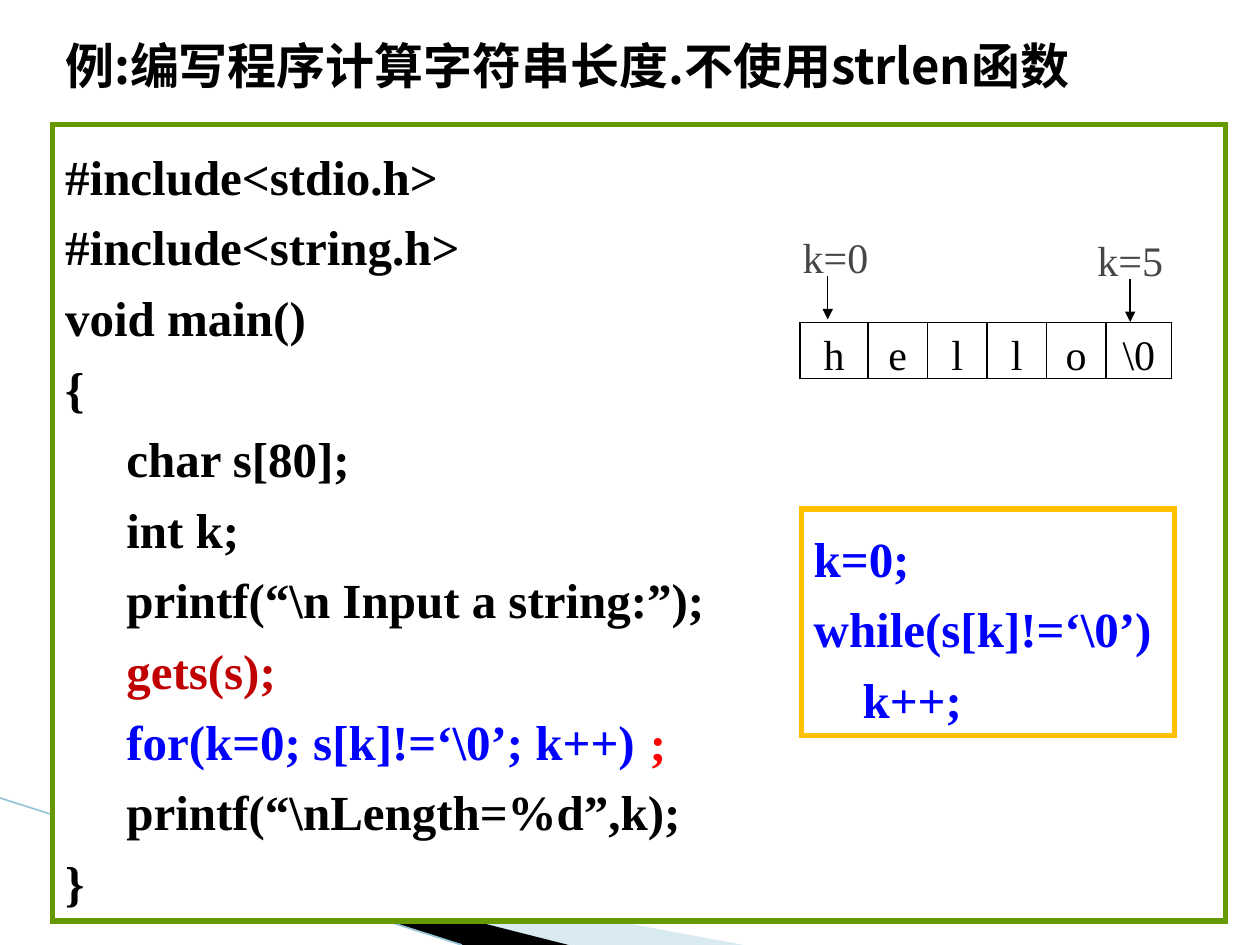
from itertools import pairwise
from lxml import etree
from pptx import Presentation
from pptx import util as u
from pptx.dml.color import RGBColor
from pptx.enum import shapes, text
from pptx.oxml.ns import qn

THEME = {
    "cjk": "Noto Sans CJK SC", "serif": "Times New Roman",
    "large": 28, "small": 24, "spacing": 1.2,
    "black": "000000", "white": "FFFFFF", "gray": "464646", "blue": "0000FF",
    "red": "FF0000", "crimson": "C00000", "green": "669900", "gold": "FFC000",
    "pale": "A0CBDC", "sky": "97C5D8",
}

TITLE = [[("例:编写程序计算字符串长度.不使用strlen函数", "black")]]
PROGRAM = [
    [("#include<stdio.h>", "black")],
    [("#include<string.h>", "black")],
    [("void main()", "black")],
    [("{", "black")],
    [("     char s[80];", "black")],
    [("     int k;", "black")],
    [("     printf(“\\n Input a string:”);", "black")],
    [("     gets(s);", "crimson")],
    [("     for(k=0; s[k]!=‘\\0’; k++)", "blue")],
    [("     printf(“\\nLength=%d”,k);", "black")],
    [("}", "black")],
]
SEMICOLON = [[(";", "red")]]
WHILE_LOOP = [
    [("k=0;", "blue")],
    [("while(s[k]!=‘\\0’)", "blue")],
    [("    k++;", "blue")],
]
CHARACTERS = ["h", "e", "l", "l", "o", "\\0"]
CELL_EDGES = [457.2, 496, 530, 564, 598, 632, 669.6]
ARRAY_TOP, ARRAY_HEIGHT = 184.3, 32
MARKERS = [("k=0", 458, 132.5, 473), ("k=5", 626.4, 134, 645.8)]
WEDGES = [
    ([(39.6, 468.5), (425, 540), (325, 540)], "pale", 40),
    ([(38.2, 467.3), (325, 540), (264, 540)], "black", 100),
]


def color(name):
    return RGBColor.from_string(THEME[name])


def write(shape, paragraphs, size="large", font="serif", spacing=None, align="LEFT",
          anchor="MIDDLE", insets=(7.2, 3.6, 7.2, 3.6), wrap=True):
    frame = shape.text_frame
    frame.word_wrap = wrap
    frame.vertical_anchor = text.MSO_ANCHOR[anchor]
    frame.margin_left, frame.margin_top, frame.margin_right, frame.margin_bottom = map(u.Pt, insets)
    for index, runs in enumerate(paragraphs):
        paragraph = frame.paragraphs[0] if index == 0 else frame.add_paragraph()
        paragraph.alignment = text.PP_ALIGN[align]
        if spacing:
            paragraph.line_spacing = spacing
        for words, name in runs:
            run = paragraph.add_run()
            run.text = words
            run.font.size = u.Pt(THEME[size])
            run.font.name = THEME[font]
            run.font.bold = size == "large"
            run.font.color.rgb = color(name)
            east_asian = etree.SubElement(run.font._element, qn("a:ea"))
            east_asian.set("typeface", THEME[font])


def add_text(slide, box, paragraphs, **style):
    shape = slide.shapes.add_textbox(*map(u.Pt, box))
    write(shape, paragraphs, **style)


def add_box(slide, box, fill=None, line=None, width=3):
    shape = slide.shapes.add_shape(shapes.MSO_SHAPE.RECTANGLE, *map(u.Pt, box))
    shape.shadow.inherit = False
    if fill:
        shape.fill.solid()
        shape.fill.fore_color.rgb = color(fill)
    else:
        shape.fill.background()
    if line:
        shape.line.color.rgb = color(line)
        shape.line.width = u.Pt(width)
        etree.SubElement(shape.line._get_or_add_ln(), qn("a:miter")).set("lim", "800000")
    else:
        shape.line.fill.background()
    return shape


def add_line(slide, start, end, name="black", width=0.75, arrow=False):
    line = slide.shapes.add_connector(
        shapes.MSO_CONNECTOR.STRAIGHT, *map(u.Pt, start + end))
    line.line.color.rgb = color(name)
    line.line.width = u.Pt(width)
    if arrow:
        etree.SubElement(line.line._get_or_add_ln(), qn("a:tailEnd")).set("type", "triangle")
    etree.SubElement(line._element.spPr, qn("a:effectLst"))


def add_wedge(slide, points, name, opacity):
    corners = [tuple(map(u.Pt, point)) for point in points]
    builder = slide.shapes.build_freeform(*corners[0])
    builder.add_line_segments(corners[1:], close=True)
    shape = builder.convert_to_shape()
    shape.shadow.inherit = False
    shape.fill.solid()
    shape.fill.fore_color.rgb = color(name)
    shape.line.fill.background()
    if opacity < 100:
        fill_color = shape._element.spPr.find(".//" + qn("a:srgbClr"))
        etree.SubElement(fill_color, qn("a:alpha")).set("val", str(opacity * 1000))


def add_array(slide):
    for label, left, top, center in MARKERS:
        shape = add_box(slide, (left, top, 39, 28.8), fill="white")
        write(shape, [[(label, "gray")]], size="small", align="CENTER",
              anchor="TOP", insets=(0, 0, 0, 0), wrap=False)
        add_line(slide, (center, top + 25.2), (center, top + 50), arrow=True)
    left, right = CELL_EDGES[0], CELL_EDGES[-1]
    add_box(slide, (left, ARRAY_TOP, right - left, ARRAY_HEIGHT), line="black", width=0.75)
    for edge in CELL_EDGES[1:-1]:
        add_line(slide, (edge, ARRAY_TOP), (edge, ARRAY_TOP + ARRAY_HEIGHT))
    for character, (start, end) in zip(CHARACTERS, pairwise(CELL_EDGES)):
        add_text(slide, (start, ARRAY_TOP, end - start, ARRAY_HEIGHT), [[(character, "black")]],
                 size="small", align="CENTER", anchor="TOP", insets=(0, 3.4, 0, 0))


def main():
    presentation = Presentation()
    presentation.slide_width, presentation.slide_height = u.Pt(720), u.Pt(540)
    slide = presentation.slides.add_slide(presentation.slide_layouts[6])
    for wedge in WEDGES:
        add_wedge(slide, *wedge)
    add_line(slide, (0, 456), (264, 540), "sky", 0.95)
    add_text(slide, (30.2, 16.6, 670.3, 41), TITLE, font="cjk", insets=(7.2, 0, 7.2, 0))
    program = add_box(slide, (30.2, 71.3, 670.3, 455), fill="white", line="green")
    write(program, PROGRAM, spacing=THEME["spacing"])
    add_text(slide, (364.3, 396.7, 22.5, 48), SEMICOLON,
             spacing=THEME["spacing"], anchor="TOP")
    loop = add_box(slide, (457.9, 290.9, 213.1, 129.6), fill="white", line="gold")
    write(loop, WHILE_LOOP, spacing=THEME["spacing"])
    add_array(slide)
    presentation.save("out.pptx")


if __name__ == "__main__":
    main()
